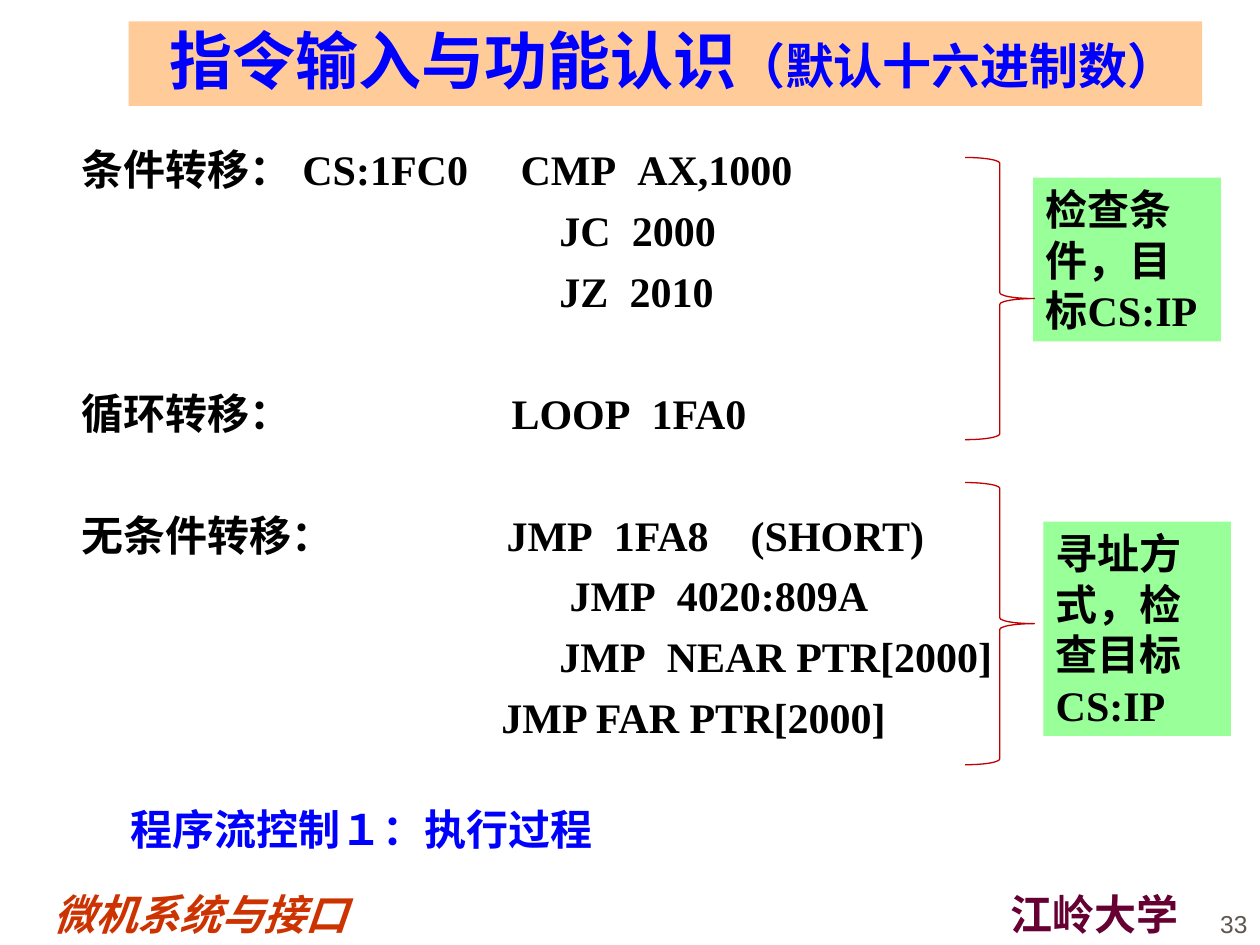
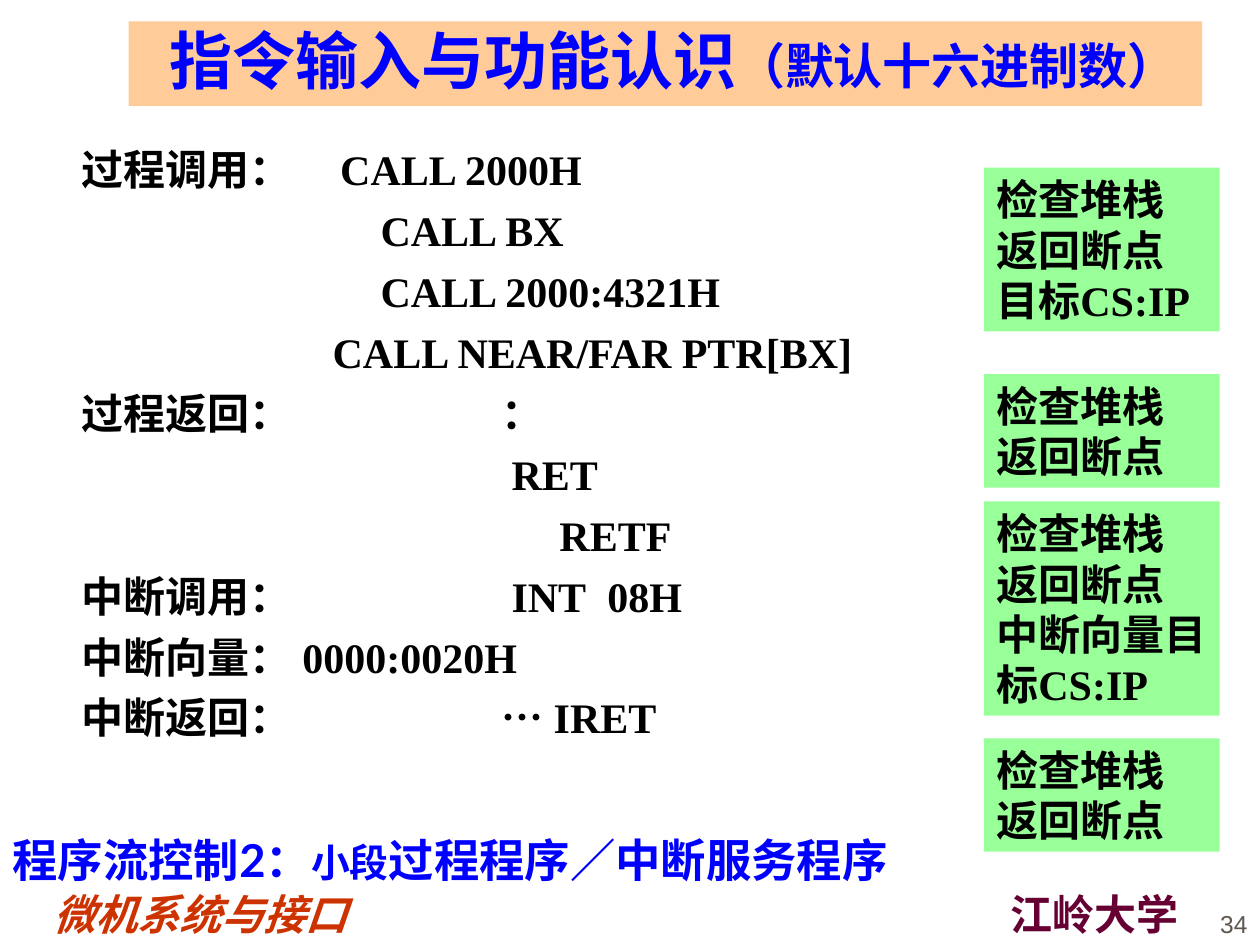
from lxml.etree import SubElement
from pptx import Presentation
from pptx.dml.color import RGBColor
from pptx.enum.shapes import MSO_SHAPE
from pptx.enum.text import MSO_ANCHOR, MSO_AUTO_SIZE, PP_ALIGN
from pptx.oxml.ns import qn
from pptx.util import Inches, Pt

COLORS = {
    "band": "FFCC99", "title": "0000FF", "text": "000000", "note": "99FF99",
    "brace": "C00000", "course": "CC3300", "school": "660033", "number": "5E574E",
}
SERIF, SANS, CJK, METRIC = "Times New Roman", "Arial", "Noto Sans CJK SC", "Lato"
LINE, GAP = 28.8, 6

CODE = {"size": 24, "bold": True, "name": SERIF, "color": "text"}
DOTS = {**CODE, "name": CJK}
CAPTION = {**CODE, "color": "title"}
WIDE_CAPTION = {**CAPTION, "size": 25.9, "name": METRIC}
HEADING = {"size": 36, "bold": True, "name": CJK, "color": "title"}
COURSE = {"size": 24, "bold": True, "italic": True, "name": SANS, "color": "course"}
SCHOOL = {"size": 24, "bold": True, "name": SANS, "color": "school"}
NUMBER = {"size": 14, "name": SANS, "color": "number"}


def spaced(points):
    return (" ", {**CODE, "spacing": points})


TITLE = [("指令输入与功能认识", HEADING), ("（默认十六进制数）", {**HEADING, "size": 28})]
TITLE_AT = (1.02, 0.17, 8.52, 0.67)
FOOTERS = [
    ("微机系统与接口", (0.33, 7, 2.67, 0.5), COURSE),
    ("江岭大学", (7.92, 7, 1.58, 0.5), SCHOOL),
]
NUMBER_AT = (9, 7, 1, 0.5)

SLIDES = [
    {
        "number": 33, "layout": 1, "body_at": (0.55, 1.09, 8.91, 5.55),
        "rows": [
            (0, "条件转移：", 1.75, [("CS:1FC0", CODE), spaced(24), ("CMP", CODE),
                                spaced(6), ("AX,1000", CODE)]),
            (0, "", 3.79, [("JC", CODE), spaced(6), ("2000", CODE)]),
            (0, "", 3.79, [("JZ", CODE), spaced(6), ("2010", CODE)]),
            (1, "循环转移：", 3.41, [("LOOP", CODE), spaced(6), ("1FA0", CODE)]),
            (1, "无条件转移：", 3.37, [("JMP", CODE), spaced(6), ("1FA8", CODE),
                                 spaced(18), ("(SHORT)", CODE)]),
            (0, "", 3.87, [("JMP", CODE), spaced(6), ("4020:809A", CODE)]),
            (0, "", 3.79, [("JMP", CODE), spaced(6), ("NEAR PTR[2000]", CODE)]),
            (0, "", 3.33, [("JMP FAR PTR[2000]", CODE)]),
        ],
        "caption": [("程序流控制１：执行过程", CAPTION)],
        "caption_at": (0.94, 6.33, 8.36, 0.5),
        "notes": [
            (["检查条件，目标CS:IP"], (8.2, 1.41, 1.49, 1.3)),
            (["寻址方式，检查目标CS:IP"], (8.28, 4.14, 1.49, 1.7)),
        ],
        "braces": [(7.66, 1.25, 0.55, 2.24), (7.66, 3.83, 0.55, 2.24)],
    },
    {
        "number": 34, "layout": 3, "body_at": (0.55, 1.09, 8.91, 5.7),
        "rows": [
            (0, "过程调用：", 2.05, [("CALL 2000H", CODE)]),
            (0, "", 2.37, [("CALL BX", CODE)]),
            (0, "", 2.37, [("CALL 2000:4321H", CODE)]),
            (0, "", 1.99, [("CALL NEAR/FAR PTR[BX]", CODE)]),
            (0, "过程返回：", 3.33, [("：", CODE)]),
            (0, "", 3.41, [("RET", CODE)]),
            (0, "", 3.79, [("RETF", CODE)]),
            (0, "中断调用：", 3.41, [("INT", CODE), spaced(6), ("08H", CODE)]),
            (0, "中断向量：", 1.75, [("0000:0020H", CODE)]),
            (0, "中断返回：", 3.33, [("…", DOTS), (" IRET", CODE)]),
        ],
        "caption": [
            ("程序流控制2：", WIDE_CAPTION),
            ("小段", {**WIDE_CAPTION, "size": 22.2}),
            ("过程程序／中断服务程序", WIDE_CAPTION),
        ],
        "caption_at": (0, 6.64, 7.81, 0.55),
        "notes": [
            (["检查堆栈", "返回断点", "目标CS:IP"], (7.81, 1.33, 1.87, 1.3)),
            (["检查堆栈", "返回断点"], (7.81, 2.97, 1.87, 0.9)),
            (["检查堆栈", "返回断点", "中断向量目标CS:IP"], (7.81, 3.98, 1.87, 1.7)),
            (["检查堆栈", "返回断点"], (7.81, 5.86, 1.87, 0.9)),
        ],
        "braces": [],
    },
]


def rgb(key):
    return RGBColor.from_string(COLORS[key])


def place(shape, at):
    for side, length in zip(("left", "top", "width", "height"), at):
        setattr(shape, side, Inches(length))


def frame_of(shape, anchor=MSO_ANCHOR.TOP, insets=(0.1, 0.05, 0.1, 0.05)):
    frame = shape.text_frame
    frame.word_wrap = True
    frame.auto_size = MSO_AUTO_SIZE.NONE
    frame.vertical_anchor = anchor
    for side, inset in zip(("left", "top", "right", "bottom"), insets):
        setattr(frame, f"margin_{side}", Inches(inset))
    return frame


def paragraph_at(frame, index):
    return frame.paragraphs[0] if index == 0 else frame.add_paragraph()


def write(paragraph, runs, align=PP_ALIGN.LEFT, before=0, spacing=None,
          margin=0, hanging=0):
    paragraph.alignment = align
    paragraph.space_before = Pt(before)
    if spacing:
        paragraph.line_spacing = spacing
    properties = paragraph._p.get_or_add_pPr()
    for key, length in {"marL": margin, "indent": -hanging}.items():
        properties.set(key, str(int(Inches(length))))
    SubElement(properties, qn("a:buNone"))
    for text, style in runs:
        run = paragraph.add_run()
        run.text = text
        run_properties = run._r.get_or_add_rPr()
        for key, value in style.items():
            if key == "color":
                run.font.color.rgb = rgb(value)
            elif key == "spacing":
                run_properties.set("spc", str(value * 100))
            else:
                setattr(run.font, key, Pt(value) if key == "size" else value)
        east_asian = CJK if style["name"] == CJK else METRIC
        SubElement(run_properties, qn("a:ea"), typeface=east_asian)


def add_text(slide, at):
    return slide.shapes.add_textbox(*map(Inches, at))


def add_title(slide):
    title = slide.shapes.title
    place(title, TITLE_AT)
    title.fill.solid()
    title.fill.fore_color.rgb = rgb("band")
    frame = frame_of(title, MSO_ANCHOR.BOTTOM, (0.22, 0, 0.1, 0.07))
    write(frame.paragraphs[0], TITLE, PP_ALIGN.CENTER, spacing=Pt(42))


def add_rows(slide, content):
    body = slide.placeholders[1]
    place(body, content["body_at"])
    frame = frame_of(body)
    for index, (skipped, label, column, code) in enumerate(content["rows"]):
        heading = [(label + "\t", CODE)] if label else []
        write(paragraph_at(frame, index), heading + code,
              before=GAP + skipped * (LINE + GAP), spacing=Pt(LINE),
              margin=column, hanging=column if label else 0)


def add_caption(slide, content):
    in_placeholder = len(slide.placeholders) > 2
    if in_placeholder:
        caption = slide.placeholders[2]
        place(caption, content["caption_at"])
    else:
        caption = add_text(slide, content["caption_at"])
    write(frame_of(caption).paragraphs[0], content["caption"],
          spacing=0.8 if in_placeholder else None)


def add_note(slide, lines, at):
    note = slide.shapes.add_shape(MSO_SHAPE.RECTANGLE, *map(Inches, at))
    note.shadow.inherit = False
    note.fill.solid()
    note.fill.fore_color.rgb = rgb("note")
    note.line.fill.background()
    frame = frame_of(note, insets=(0.1, 0.05, 0.08, 0.05))
    for index, line in enumerate(lines):
        write(paragraph_at(frame, index), [(line, CODE)], spacing=Pt(LINE))


def add_brace(slide, at):
    brace = slide.shapes.add_shape(MSO_SHAPE.RIGHT_BRACE, *map(Inches, at))
    brace.shadow.inherit = False
    brace.fill.background()
    brace.line.color.rgb = rgb("brace")
    brace.line.width = Pt(0.75)


def add_footers(slide, number):
    for text, at, style in FOOTERS:
        write(frame_of(add_text(slide, at)).paragraphs[0], [(text, style)])
    frame = frame_of(add_text(slide, NUMBER_AT), MSO_ANCHOR.BOTTOM)
    write(frame.paragraphs[0], [(str(number), NUMBER)], PP_ALIGN.RIGHT)


def main():
    deck = Presentation()
    deck.slide_width, deck.slide_height = Inches(10), Inches(7.5)
    for content in SLIDES:
        slide = deck.slides.add_slide(deck.slide_layouts[content["layout"]])
        add_footers(slide, content["number"])
        add_title(slide)
        add_rows(slide, content)
        add_caption(slide, content)
        for lines, at in content["notes"]:
            add_note(slide, lines, at)
        for at in content["braces"]:
            add_brace(slide, at)
    deck.save("out.pptx")


if __name__ == "__main__":
    main()
